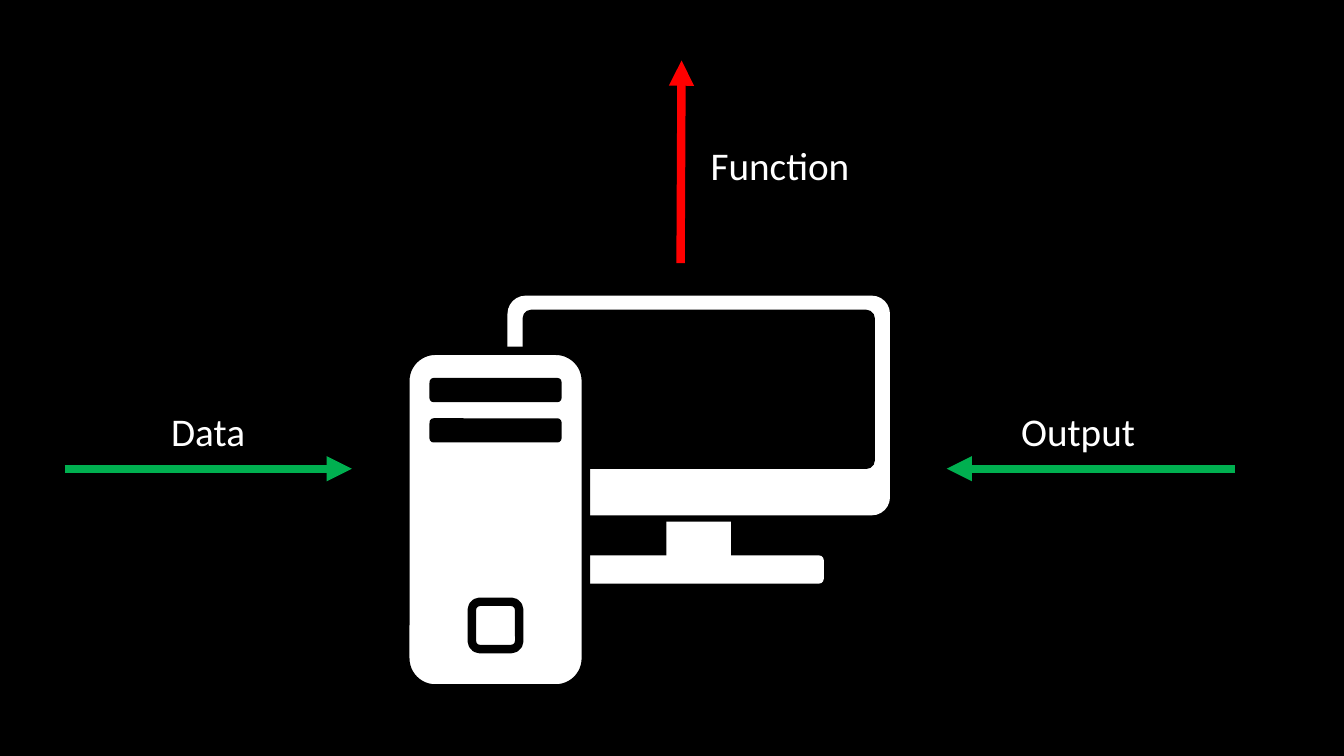
from lxml import etree
from pptx import Presentation
from pptx.dml.color import RGBColor
from pptx.enum.shapes import MSO_CONNECTOR as Connector, MSO_SHAPE as Shape
from pptx.enum.text import MSO_AUTO_SIZE as AutoSize
from pptx.oxml.ns import qn
from pptx.util import Inches, Pt

# The slide is a grid of square cells; all lengths are counted in cells.
CELL = Inches(0.01)
COLUMNS, ROWS = 1333, 750
BLACK, WHITE, GREEN, RED = "000000", "FFFFFF", "00B050", "FF0000"
THICK = 6


def cells(*counts):
    return [int(count * CELL) for count in counts]


def paint(color_holder, color):
    color_holder.rgb = RGBColor.from_string(color)


def add_block(slide, kind, box, fill, line=None, line_width=1, rounding=None):
    shape = slide.shapes.add_shape(kind, *cells(*box))
    shape.shadow.inherit = False
    shape.fill.solid()
    paint(shape.fill.fore_color, fill)
    if line:
        paint(shape.line.color, line)
        shape.line.width = Pt(line_width)
    else:
        shape.line.fill.background()
    if rounding is not None:
        shape.adjustments[0] = rounding


def add_monitor(slide, left, top, width, height):
    """Draw the screen with its frame, neck and foot."""
    frame_height = 0.76 * height
    side, brow, chin = 15, 14, 46
    neck_width, foot_width, foot_height = 64, 248, 28
    middle = left + width / 2
    foot_top = top + height - foot_height
    neck_top = top + frame_height + 7

    add_block(slide, Shape.ROUNDED_RECTANGLE, (left, top, width, frame_height),
              WHITE, WHITE, rounding=0.08)
    add_block(slide, Shape.ROUNDED_RECTANGLE,
              (left + side, top + brow, width - 2 * side, frame_height - brow - chin),
              BLACK, BLACK, rounding=0.05)
    add_block(slide, Shape.RECTANGLE,
              (middle - neck_width / 2, neck_top, neck_width, foot_top + 14 - neck_top), WHITE)
    add_block(slide, Shape.ROUNDED_RECTANGLE,
              (middle - foot_width / 2, foot_top, foot_width, foot_height), WHITE)


def add_tower(slide, left, top, width, height):
    """Draw the case with two drive bays and a power button."""
    margin, bay_height, bay_step, button = 24, 24, 40, 47
    add_block(slide, Shape.ROUNDED_RECTANGLE, (left, top, width, height), WHITE, BLACK, THICK)
    for bay in range(2):
        add_block(slide, Shape.ROUNDED_RECTANGLE,
                  (left + margin, top + 27 + bay * bay_step, width - 2 * margin, bay_height), BLACK)
    add_block(slide, Shape.ROUNDED_RECTANGLE,
              (left + (width - button) / 2, top + height - 86, button, button),
              WHITE, BLACK, THICK)


def add_arrow(slide, start, end, color):
    arrow = slide.shapes.add_connector(Connector.STRAIGHT, *cells(*start, *end))
    paint(arrow.line.color, color)
    arrow.line.width = Pt(THICK)
    line = arrow.line._get_or_add_ln()
    etree.SubElement(line, qn("a:tailEnd"), type="triangle")
    etree.SubElement(arrow._element.spPr, qn("a:effectLst"))


def add_label(slide, text, box):
    frame = slide.shapes.add_textbox(*cells(*box)).text_frame
    frame.word_wrap = False
    frame.auto_size = AutoSize.SHAPE_TO_FIT_TEXT
    paragraph = frame.paragraphs[0]
    paragraph.text = text
    paragraph.font.name = "Calibri"
    paragraph.font.size = Pt(28)
    paint(paragraph.font.color, WHITE)


def add_flows(slide):
    """Place the labelled arrows around the computer."""
    flow_row, label_row, label_height = 465, 399, 57
    flows = [
        ("Data", (160, label_row, 94), (64, flow_row), (349, flow_row), GREEN),
        ("Output", (1003, label_row, 134), (1225, flow_row), (939, flow_row), GREEN),
        ("Function", (695, 135, 160), (675, 261), (676, 60), RED),
    ]
    for text, label_box, start, end, color in flows:
        add_arrow(slide, start, end, color)
        add_label(slide, text, (*label_box, label_height))


def main():
    presentation = Presentation()
    presentation.slide_width, presentation.slide_height = cells(COLUMNS, ROWS)
    slide = presentation.slides.add_slide(presentation.slide_layouts[6])
    slide.background.fill.solid()
    paint(slide.background.fill.fore_color, BLACK)

    add_monitor(slide, 504, 294, 378, 285)
    add_tower(slide, 402, 348, 179, 335)
    add_flows(slide)
    presentation.save("out.pptx")


if __name__ == "__main__":
    main()
